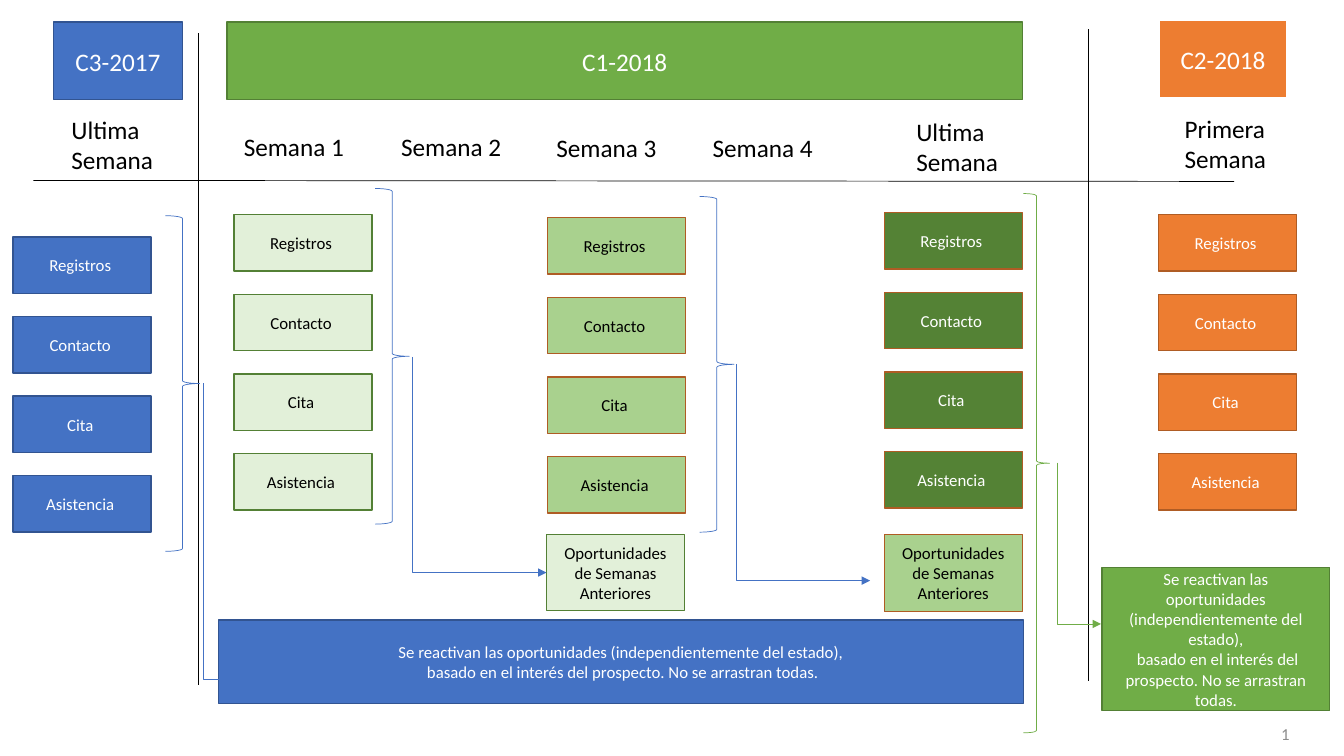
from lxml import etree
from pptx import Presentation
from pptx.dml.color import RGBColor
from pptx.enum.shapes import MSO_CONNECTOR, MSO_SHAPE
from pptx.enum.text import MSO_ANCHOR, PP_ALIGN
from pptx.oxml import parse_xml
from pptx.oxml.ns import nsdecls, qn
from pptx.util import Inches, Pt

RECT, BRACE = MSO_SHAPE.RECTANGLE, MSO_SHAPE.RIGHT_BRACE
STRAIGHT, ELBOW = MSO_CONNECTOR.STRAIGHT, MSO_CONNECTOR.ELBOW
TOP, MIDDLE = MSO_ANCHOR.TOP, MSO_ANCHOR.MIDDLE
LEFT, CENTER, RIGHT = PP_ALIGN.LEFT, PP_ALIGN.CENTER, PP_ALIGN.RIGHT

WHITE, BLACK, GRAY = "FFFFFF", "000000", "8C8C8C"
BLUE, NAVY = "4472C4", "325491"
GREEN, MOSS, FOREST = "70AD47", "538035", "548235"
PALE, LIGHT = "E2F0D9", "A9D18E"
ORANGE, RUST = "ED7D31", "AF5C24"

STEPS = ["Registros ", "Contacto ", "Cita ", "Asistencia "]
PRIOR = ["Oportunidades de Semanas Anteriores"]
REVIVE = ["Se reactivan las oportunidades (independientemente del estado),",
          " basado en el interés del prospecto. No se arrastran todas."]
STEP_W, STEP_H, PITCH = 1.37, 0.56, 0.79

HEADS = [
    ("C3-2017", (0.53, 0.22, 1.28, 0.77), BLUE, NAVY, 1),
    ("C1-2018", (2.25, 0.22, 7.89, 0.77), GREEN, MOSS, 1),
    ("C2-2018", (11.49, 0.2, 1.28, 0.77), ORANGE, WHITE, 1.5),
]
WEEKS = [
    ("Ultima Semana", (0.61, 1.08, 1.14, 0.71)),
    ("Semana 1 ", (2.32, 1.25, 1.47, 0.4)),
    ("Semana 2 ", (3.88, 1.25, 1.47, 0.4)),
    ("Semana 3", (5.42, 1.26, 1.47, 0.4)),
    ("Semana 4", (6.97, 1.26, 1.47, 0.4)),
    ("Ultima Semana", (8.99, 1.1, 1.16, 0.71)),
    ("Primera Semana", (11.65, 1.07, 1.14, 0.71)),
]
STACKS = [
    (0.13, 2.35, BLUE, NAVY, WHITE),
    (2.32, 2.13, PALE, MOSS, BLACK),
    (5.43, 2.16, LIGHT, RUST, BLACK),
    (8.77, 2.11, FOREST, RUST, WHITE),
    (11.49, 2.13, ORANGE, RUST, WHITE),
]
NOTES = [
    (PRIOR, (5.42, 5.3, STEP_W, 0.76), PALE, MOSS, BLACK),
    (PRIOR, (8.77, 5.3, STEP_W, 0.77), LIGHT, RUST, BLACK),
    (REVIVE, (2.17, 6.15, 7.98, 0.83), BLUE, NAVY, WHITE),
    (REVIVE, (10.93, 5.63, 2.26, 1.42), GREEN, MOSS, WHITE),
]
RULES = [
    (1.97, 0.33, 1.97, 6.8),
    (10.79, 0.29, 10.79, 6.76),
    (12.24, 1.8, 0.33, 1.79),
]
FLOWS = [
    ((1.64, 2.14, 0.34, 3.33), (2.02, 3.8, 2.36, 6.74), BLUE),
    ((3.72, 1.87, 0.34, 3.33), (4.09, 3.54, 5.42, 5.68), BLUE),
    ((6.94, 1.95, 0.34, 3.33), (7.3, 3.61, 8.63, 5.76), BLUE),
    ((10.15, 1.92, 0.26, 5.35), (10.49, 4.59, 10.92, 6.19), GREEN),
]


def color(code):
    return RGBColor.from_string(code)


def write(shape, lines, size, ink, align, anchor):
    frame = shape.text_frame
    frame.word_wrap = True
    frame.vertical_anchor = anchor
    frame.text = "\n".join(lines)
    for para in frame.paragraphs:
        para.alignment = align
        para.font.size = Pt(size)
        para.font.name = "Calibri"
        para.font.color.rgb = color(ink)


def stroke(shape, code, width):
    shape.line.color.rgb = color(code)
    shape.line.width = Pt(width)


def box(lines, place, fill, edge, ink, size=12, width=1):
    shape = slide.shapes.add_shape(RECT, *map(Inches, place))
    shape.shadow.inherit = False
    shape.fill.solid()
    shape.fill.fore_color.rgb = color(fill)
    stroke(shape, edge, width)
    write(shape, lines, size, ink, CENTER, MIDDLE)


def label(text, place, size, ink, align=LEFT, anchor=TOP):
    shape = slide.shapes.add_textbox(*map(Inches, place))
    write(shape, [text], size, ink, align, anchor)
    return shape


def link(kind, ends, code):
    line = slide.shapes.add_connector(kind, *map(Inches, ends))
    stroke(line, code, 0.5)
    etree.SubElement(line._element.spPr, qn("a:effectLst"))
    return line


def brace(place, code):
    shape = slide.shapes.add_shape(BRACE, *map(Inches, place))
    shape.shadow.inherit = False
    shape.fill.background()
    stroke(shape, code, 0.5)


def bend(ends, code):
    x1, y1, x2, y2 = ends
    wide, tall = x2 - x1, y2 - y1
    line = link(ELBOW, ends, code)
    line.left = Inches((x1 + x2 - tall) / 2)
    line.top = Inches((y1 + y2 - wide) / 2)
    line.width, line.height = Inches(tall), Inches(wide)
    props = line._element.spPr
    frame = props.find(qn("a:xfrm"))
    frame.set("rot", "16200000")
    frame.set("flipH", "1")
    props.find(qn("a:prstGeom")).set("prst", "bentConnector2")
    tip = etree.SubElement(props.find(qn("a:ln")), qn("a:tailEnd"))
    tip.set("type", "triangle")


deck = Presentation()
deck.slide_width, deck.slide_height = Inches(13.33), Inches(7.5)
slide = deck.slides.add_slide(deck.slide_layouts[6])

for text, place, fill, edge, width in HEADS:
    box([text], place, fill, edge, WHITE, 18, width)
for text, place in WEEKS:
    label(text, place, 18, BLACK)
for ends in RULES:
    link(STRAIGHT, ends, BLACK)
for left, top, fill, edge, ink in STACKS:
    for row, step in enumerate(STEPS):
        place = left, top + row * PITCH, STEP_W, STEP_H
        box([step], place, fill, edge, ink)
for note in NOTES:
    box(*note)
for place, ends, code in FLOWS:
    brace(place, code)
    bend(ends, code)

page = label("1", (9.78, 7.08, 3.11, 0.4), 12, GRAY, RIGHT, MIDDLE)
run = page.text_frame.paragraphs[0].runs[0]._r
field = parse_xml(
    f'<a:fld {nsdecls("a")} id="{{B6F15528-21DE-4FAA-801E-634DDDAF4B2B}}" '
    'type="slidenum"><a:rPr lang="es" sz="1200"><a:solidFill>'
    f'<a:srgbClr val="{GRAY}"/></a:solidFill><a:latin typeface="Calibri"/>'
    '</a:rPr><a:t>1</a:t></a:fld>')
run.getparent().replace(run, field)

deck.save("out.pptx")
